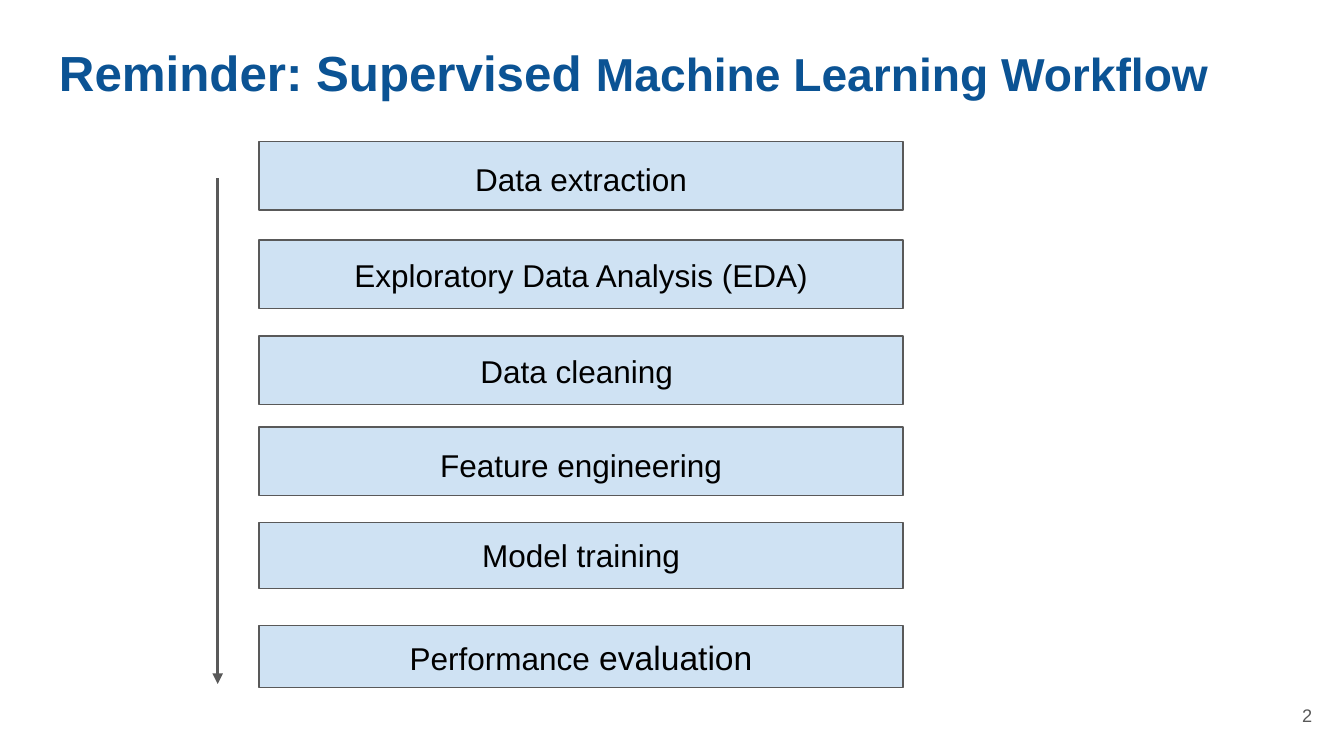
from typing import NamedTuple

from lxml import etree
from pptx import Presentation
from pptx.dml.color import RGBColor
from pptx.enum.shapes import MSO_CONNECTOR, MSO_SHAPE
from pptx.enum.text import MSO_ANCHOR, PP_ALIGN
from pptx.oxml.ns import qn
from pptx.util import Inches, Pt

RECTANGLE = MSO_SHAPE.RECTANGLE
STRAIGHT = MSO_CONNECTOR.STRAIGHT
TOP, MIDDLE = MSO_ANCHOR.TOP, MSO_ANCHOR.MIDDLE
LEFT, CENTER, RIGHT = PP_ALIGN.LEFT, PP_ALIGN.CENTER, PP_ALIGN.RIGHT

FONT = "Arial"
BLUE, PALE_BLUE, GRAY, BLACK = "0B5394", "CFE2F3", "595959", "000000"
STEP_LEFT, STEP_WIDTH = 5.14, 12.78
INSET = Inches(0.27)


class Span(NamedTuple):
    """A piece of text with its size in points."""

    text: str
    size: float = 45


class Area(NamedTuple):
    """A rectangle on the slide, in inches."""

    left: float
    top: float
    width: float
    height: float


class Step(NamedTuple):
    """A workflow step: bar and label extents with the label's spans."""

    top: float
    height: float
    label_top: float
    label_height: float
    spans: tuple[Span, ...]


STEPS = (
    Step(2.81, 1.36, 2.97, 1.16, (Span("Data extraction"),)),
    Step(4.76, 1.36, 4.8, 1.3, (Span("Exploratory Data Analysis (EDA)"),)),
    Step(6.67, 1.36, 6.7, 1.3, (Span("Data cleaning "),)),
    Step(8.47, 1.36, 8.56, 1.34, (Span("Feature engineering"),)),
    Step(10.37, 1.31, 10.34, 1.36, (Span("Model training"),)),
    Step(12.41, 1.23, 12.35, 1.36, (Span("Performance"), Span(" evaluation", 48))),
)


def color(value: str) -> RGBColor:
    """Turn a hex string into a colour."""
    return RGBColor.from_string(value)


def apply(target, values: dict) -> None:
    """Set every named attribute on the target."""
    for name, value in values.items():
        setattr(target, name, value)


def add_text(shapes, area: Area, spans: tuple[Span, ...], shade: str,
             align=CENTER, anchor=MIDDLE, bold: bool = False) -> None:
    """Add a one-paragraph text box."""
    frame = shapes.add_textbox(*map(Inches, area)).text_frame
    apply(frame, {
        "word_wrap": True, "vertical_anchor": anchor,
        "margin_left": INSET, "margin_right": INSET,
        "margin_top": INSET, "margin_bottom": INSET,
    })
    paragraph = frame.paragraphs[0]
    paragraph.alignment = align
    for span in spans:
        run = paragraph.add_run()
        run.text = span.text
        apply(run.font, {"name": FONT, "size": Pt(span.size), "bold": bold})
        run.font.color.rgb = color(shade)


def add_step(shapes, step: Step) -> None:
    """Add a workflow bar grouped with its label."""
    members = shapes.add_group_shape().shapes
    area = Area(STEP_LEFT, step.top, STEP_WIDTH, step.height)
    bar = members.add_shape(RECTANGLE, *map(Inches, area))
    bar.shadow.inherit = False
    bar.fill.solid()
    bar.fill.fore_color.rgb = color(PALE_BLUE)
    bar.line.color.rgb = color(GRAY)
    bar.line.width = Pt(2)
    label = Area(STEP_LEFT, step.label_top, STEP_WIDTH, step.label_height)
    add_text(members, label, step.spans, BLACK)


def add_down_arrow(shapes, x: float, top: float, bottom: float) -> None:
    """Add a vertical line with an arrowhead at its lower end."""
    arrow = shapes.add_connector(STRAIGHT, *map(Inches, (x, top, x, bottom)))
    arrow.line.color.rgb = color(GRAY)
    arrow.line.width = Pt(5)
    etree.SubElement(arrow.line._get_or_add_ln(), qn("a:tailEnd"), type="triangle")
    etree.SubElement(arrow._element.spPr, qn("a:effectLst"))


def main() -> None:
    """Build and save the workflow slide."""
    deck = Presentation()
    apply(deck, {"slide_width": Inches(26.67), "slide_height": Inches(15)})
    page = deck.slides.add_slide(deck.slide_layouts[6])
    title = (Span("Reminder: Supervised ", 70.4), Span("Machine Learning Workflow", 66))
    add_text(page.shapes, Area(0.9, 0.56, 23.44, 1.67), title, BLUE, LEFT, TOP, True)
    for step in STEPS:
        add_step(page.shapes, step)
    add_down_arrow(page.shapes, 4.32, 3.54, 13.57)
    add_text(page.shapes, Area(25.56, 13.7, 0.75, 0.98), (Span("2", 26),), GRAY, RIGHT)
    deck.save("out.pptx")


if __name__ == "__main__":
    main()
